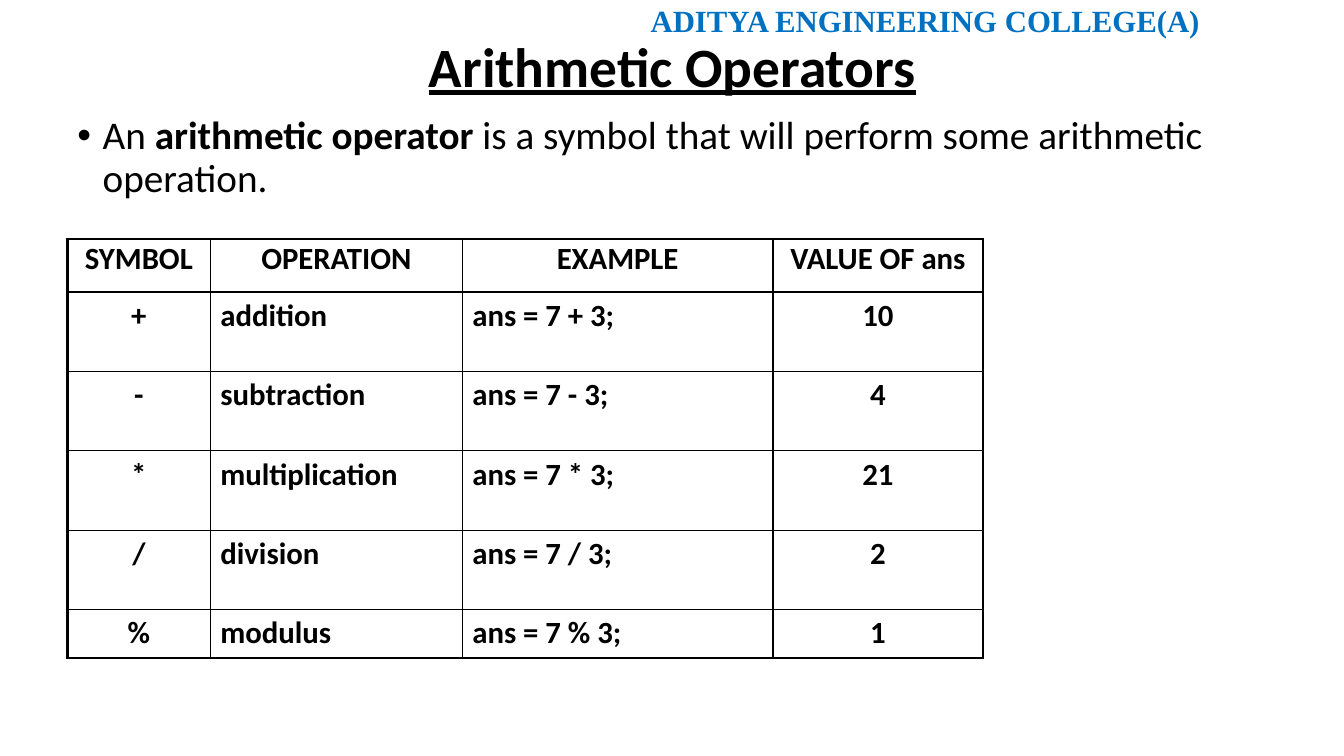
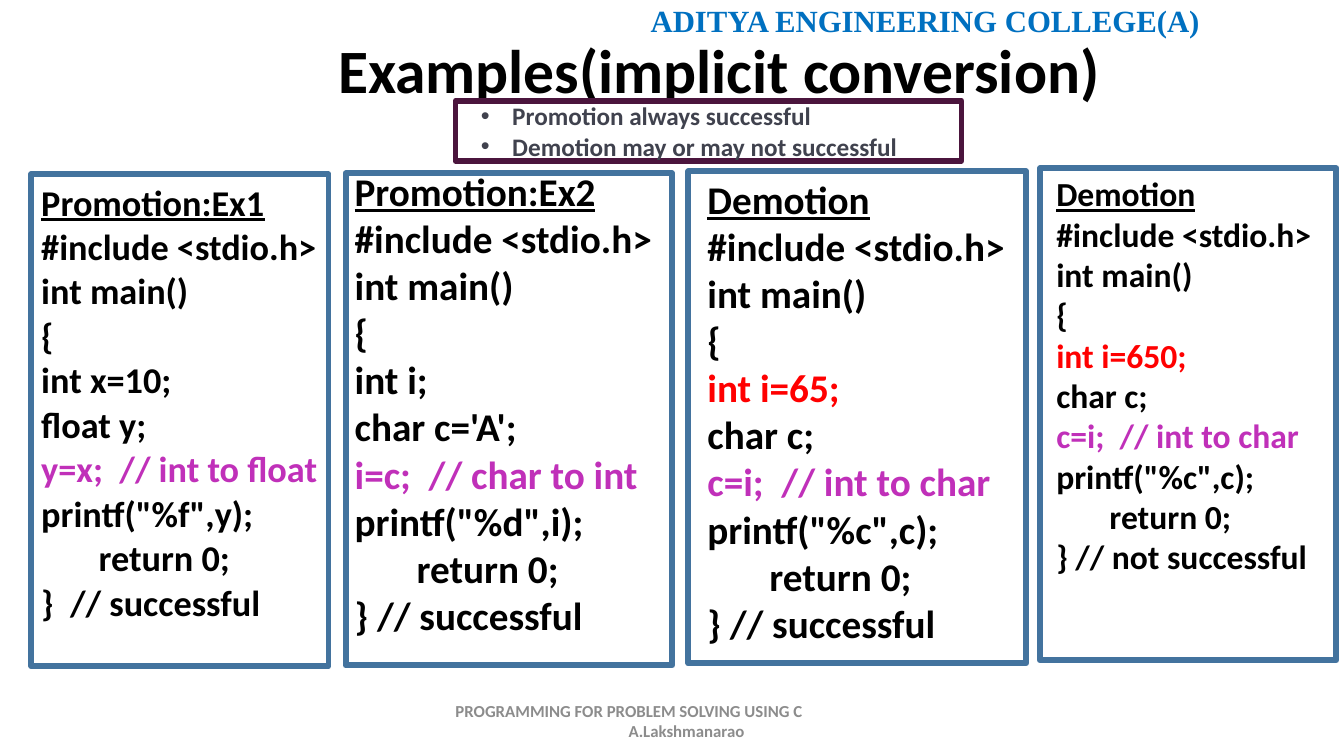
from lxml import etree
from pptx import Presentation
from pptx import util as u
from pptx.dml import color
from pptx.enum import shapes, text
from pptx.oxml import ns

THEME = {
    "ink": "000000", "header": "0070C0", "footer": "8C8C8C", "note": "40424E",
    "input": "FF0000", "convert": "C030B9", "frame": "43739E", "note_frame": "4B153D",
    "font": "Calibri", "header_font": "Times New Roman",
    "header_size": 22, "title_size": 39.6, "wide_title_size": 44, "body_size": 28,
    "table_size": 22, "note_size": 18, "footer_size": 12,
    "frame_line": 4.25, "note_line": 4, "outer_line": 2.25, "inner_line": 1,
}
LEFT, CENTER, RIGHT = text.PP_ALIGN.LEFT, text.PP_ALIGN.CENTER, text.PP_ALIGN.RIGHT
TOP, MIDDLE = text.MSO_ANCHOR.TOP, text.MSO_ANCHOR.MIDDLE

HEADER = "ADITYA ENGINEERING COLLEGE(A)"
DEFINITION = [
    ("An ", {}),
    ("arithmetic operator", {"bold": True}),
    (" is a symbol that will perform some arithmetic operation.", {}),
]
OPERATORS = [
    ("SYMBOL", "OPERATION", "EXAMPLE", "VALUE OF ans"),
    ("+", "addition", "ans = 7 + 3;", "10"),
    ("-", "subtraction", "ans = 7 - 3;", "4"),
    ("*", "multiplication", "ans = 7 * 3;", "21"),
    ("/", "division", "ans = 7 / 3;", "2"),
    ("%", "modulus", "ans = 7 % 3;", "1"),
]
COLUMN_WIDTHS = [3.6, 6.35, 7.83, 5.29]
ROW_HEIGHTS = [1.34, 2, 2, 2, 2, 1.22]

NOTES = ["Promotion always successful", "Demotion may or may not successful"]
FOOTER = [("PROGRAMMING FOR PROBLEM SOLVING USING C", 0), ("A.Lakshmanarao", 4.36)]
PANELS = [
    {"title": "Promotion:Ex1", "frame": (0.79, 4.39, 7.49), "code_at": (1.04, 4.83),
     "size": 25.9, "format": {"line_spacing": 0.7, "space_before": u.Pt(10)},
     "declare": [("int x=10;", "ink"), ("float y;", "ink")],
     "convert": "y=x;  // int to float", "print": 'printf("%f",y);',
     "end": "}  // successful"},
    {"title": "Promotion:Ex2", "frame": (8.71, 4.37, 8.23), "code_at": (8.94, 4.22),
     "size": 28, "format": {},
     "declare": [("int i;", "ink"), ("char c='A';", "ink")],
     "convert": "i=c;  // char to int", "print": 'printf("%d",i);',
     "end": "} // successful"},
    {"title": "Demotion", "frame": (17.35, 4.32, 8.51), "code_at": (17.83, 4.42),
     "size": 28, "format": {},
     "declare": [("int i=65;", "input"), ("char c;", "ink")],
     "convert": "c=i;  // int to char", "print": 'printf("%c",c);',
     "end": "} // successful"},
    {"title": "Demotion", "frame": (26.21, 4.24, 7.47), "code_at": (26.62, 4.37),
     "size": 24, "format": {},
     "declare": [("int i=650;", "input"), ("char c;", "ink")],
     "convert": "c=i;  // int to char", "print": 'printf("%c",c);',
     "end": "} // not successful"},
]
PANEL_HEIGHT = 12.4


def set_values(target, values):
    for name, value in values.items():
        setattr(target, name, value)


def rgb(name):
    return color.RGBColor.from_string(THEME[name])


def style_font(font, size, ink="ink", family="font", **values):
    set_values(font, {"name": THEME[family], "size": u.Pt(size), **values})
    font.color.rgb = rgb(ink)


def set_frame(frame, anchor=TOP, insets=(0.25, 0.13, 0.25, 0.13)):
    sides = ("margin_left", "margin_top", "margin_right", "margin_bottom")
    set_values(frame, dict(zip(sides, map(u.Cm, insets))))
    set_values(frame, {"word_wrap": True, "vertical_anchor": anchor})


def write(frame, lines, **values):
    for index, (spans, style, layout) in enumerate(lines):
        para = frame.paragraphs[0] if index == 0 else frame.add_paragraph()
        layout = {**values, **layout}
        indent, hanging = layout.pop("indent", 0), layout.pop("bullet", False)
        if index == 0:
            layout.pop("space_before", None)
        set_values(para, layout)
        if indent:
            properties = para._p.get_or_add_pPr()
            properties.set("marL", str(u.Cm(indent)))
            if hanging:
                properties.set("indent", str(-u.Cm(indent)))
                etree.SubElement(properties, ns.qn("a:buFont")).set("typeface", "Arial")
                etree.SubElement(properties, ns.qn("a:buChar")).set("char", "•")
        for content, changes in spans:
            span = para.add_run()
            span.text = content
            style_font(span.font, **{**style, **changes})


def add_text(page, at, lines, anchor=TOP, insets=(0.25, 0.13, 0.25, 0.13), **values):
    box = page.shapes.add_textbox(*map(u.Cm, at))
    set_frame(box.text_frame, anchor, insets)
    write(box.text_frame, lines, **values)


def add_frame(page, at, line, width):
    box = page.shapes.add_shape(shapes.MSO_SHAPE.RECTANGLE, *map(u.Cm, at))
    box.shadow.inherit = False
    box.fill.background()
    box.line.color.rgb = rgb(line)
    box.line.width = u.Pt(THEME[width])
    return box


def add_page(deck, title, at, size, align, underline=False):
    page = deck.slides.add_slide(deck.slide_layouts[6])
    header = {"size": THEME["header_size"], "ink": "header", "family": "header_font", "bold": True}
    add_text(page, (12.27, -0.08, 18.21, 1.19), [([(HEADER, {})], header, {})], alignment=RIGHT)
    style = {"size": THEME[size], "bold": True, "underline": underline}
    add_text(page, at, [([(title, {})], style, {})], MIDDLE, alignment=align, line_spacing=0.9)
    return page


def set_borders(cell, outer_sides):
    properties = cell._tc.get_or_add_tcPr()
    for index, side in enumerate("LRTB"):
        width = THEME["outer_line" if side in outer_sides else "inner_line"]
        line = etree.Element(ns.qn(f"a:ln{side}"), w=str(u.Pt(width)))
        fill = etree.SubElement(line, ns.qn("a:solidFill"))
        etree.SubElement(fill, ns.qn("a:srgbClr")).set("val", THEME["ink"])
        properties.insert(index, line)


def add_operator_table(page):
    last_row, last_column = len(OPERATORS) - 1, len(COLUMN_WIDTHS) - 1
    size = (sum(COLUMN_WIDTHS), sum(ROW_HEIGHTS))
    table = page.shapes.add_table(
        last_row + 1, last_column + 1, *map(u.Cm, (1.7, 6.02, *size))).table
    set_values(table, {"first_row": False, "horz_banding": False})
    for column, width in zip(table.columns, COLUMN_WIDTHS):
        column.width = u.Cm(width)
    for row, height in zip(table.rows, ROW_HEIGHTS):
        row.height = u.Cm(height)
    style = {"size": THEME["table_size"], "bold": True}
    for r, values in enumerate(OPERATORS):
        for c, value in enumerate(values):
            cell = table.cell(r, c)
            cell.fill.background()
            edges = {"T": r == 0, "B": r == last_row, "L": c == 0, "R": c == last_column}
            set_borders(cell, [side for side, outer in edges.items() if outer])
            centered = r == 0 or c in (0, last_column)
            write(cell.text_frame, [([(value, {})], style, {})],
                  alignment=CENTER if centered else LEFT,
                  line_spacing=0.85 if r == 0 else 1.0)


def add_panel(page, panel):
    left, top, width = panel["frame"]
    add_frame(page, (left, top, width, PANEL_HEIGHT), "frame", "frame_line")
    code = [
        (panel["title"], {"underline": True}),
        *((line, {}) for line in ("#include <stdio.h>", "int main()", "{")),
        *((line, {"ink": ink}) for line, ink in panel["declare"]),
        (panel["convert"], {"ink": "convert"}),
        *((line, {}) for line in (panel["print"], "       return 0;", panel["end"])),
    ]
    style = {"size": panel["size"], "bold": True}
    add_text(page, (*panel["code_at"], width, PANEL_HEIGHT - 0.5),
             [([span], style, {}) for span in code], insets=(0, 0, 0, 0), **panel["format"])


def build_operators(deck):
    page = add_page(deck, "Arithmetic Operators", (2.34, 1.02, 29.21, 1.45),
                    "title_size", CENTER, True)
    add_text(page, (1.7, 2.79, 29.21, 2.6), [(DEFINITION, {"size": THEME["body_size"]}, {})],
             line_spacing=0.9, indent=0.64, bullet=True)
    add_operator_table(page)


def build_conversions(deck):
    page = add_page(deck, "Examples(implicit conversion)", (8.27, 0.46, 24, 2.77),
                    "wide_title_size", LEFT)
    for panel in PANELS:
        add_panel(page, panel)
    note_box = add_frame(page, (11.48, 2.54, 12.75, 1.52), "note_frame", "note_line")
    set_frame(note_box.text_frame, insets=(0.64, 0, 0, 0))
    style = {"size": THEME["note_size"], "ink": "note", "bold": True}
    write(note_box.text_frame, [([(note, {})], style, {}) for note in NOTES],
          alignment=LEFT, indent=0.79, bullet=True)
    style = {"size": THEME["footer_size"], "ink": "footer", "bold": True}
    add_text(page, (11.23, 17.65, 11.43, 1.02),
             [([(line, {})], style, {"indent": indent}) for line, indent in FOOTER], MIDDLE)


def main():
    deck = Presentation()
    set_values(deck, {"slide_width": u.Cm(33.87), "slide_height": u.Cm(19.05)})
    build_operators(deck)
    build_conversions(deck)
    deck.save("out.pptx")


if __name__ == "__main__":
    main()
